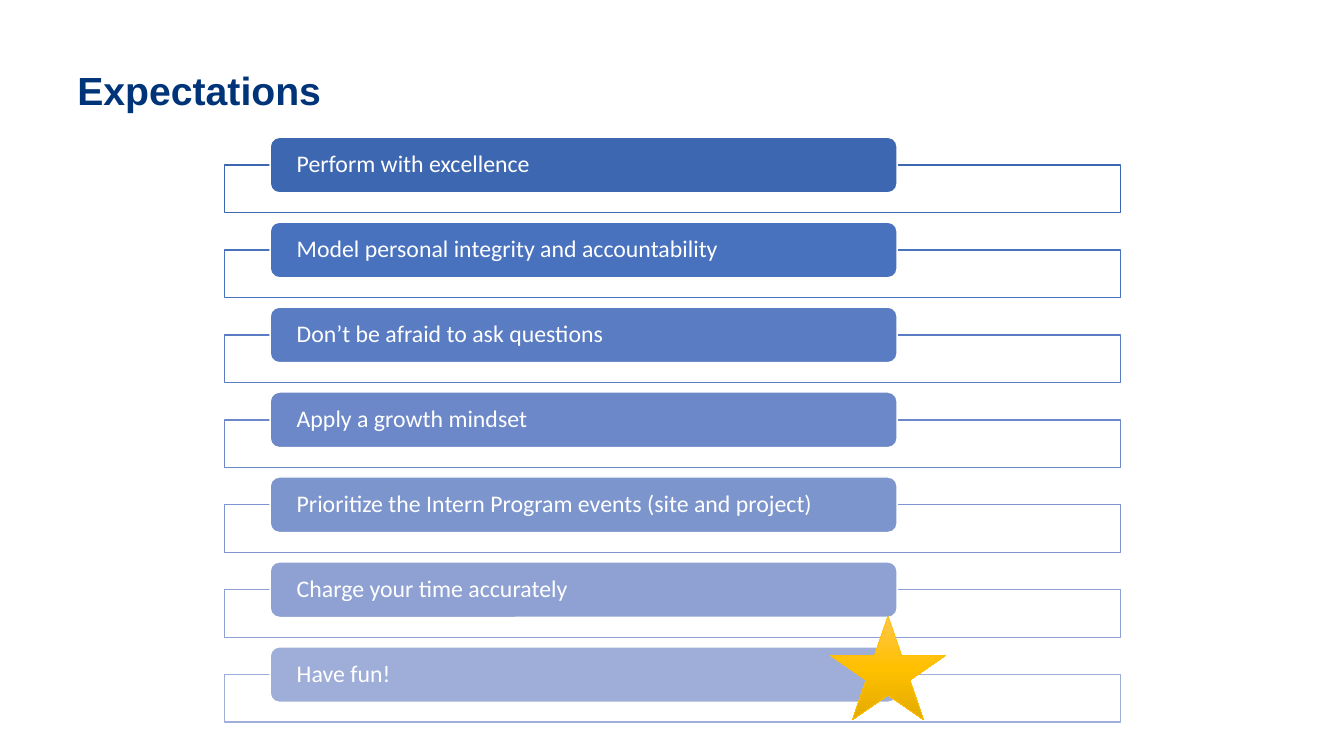
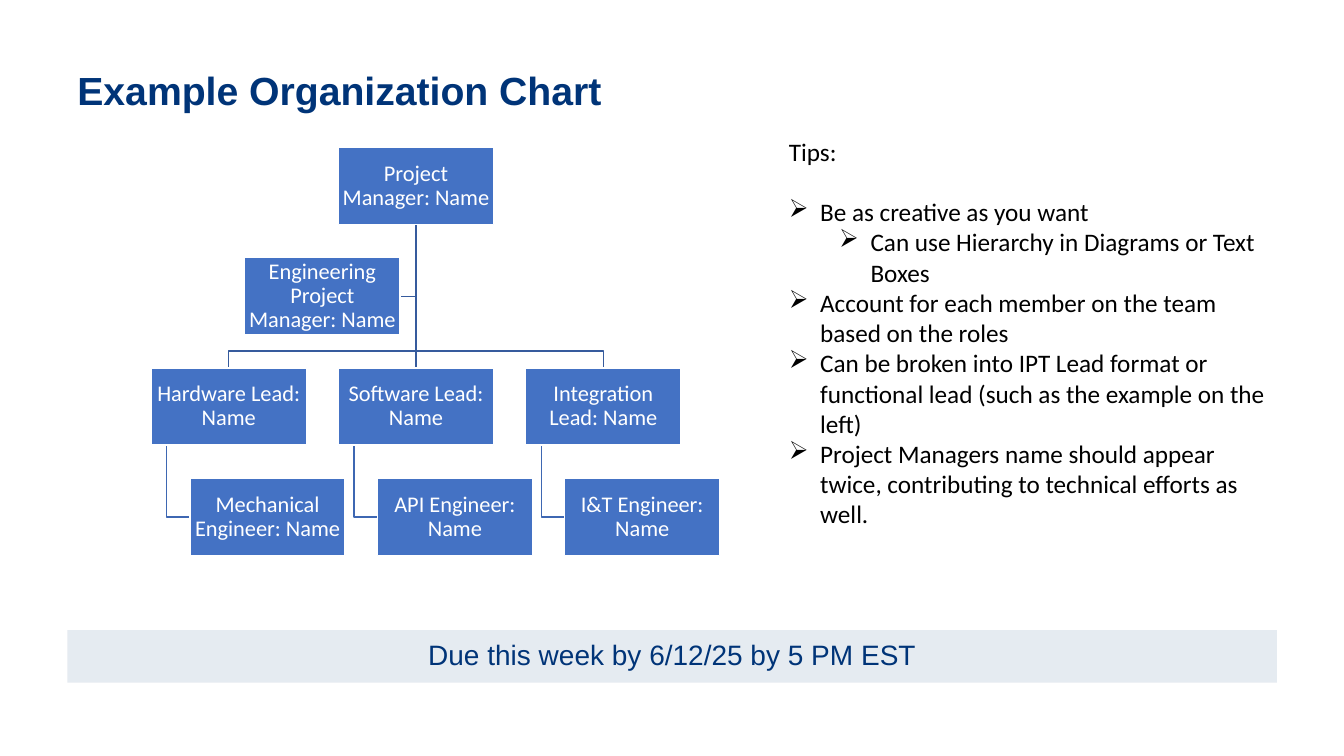
"""Build two intern program slides: the expectations list and an example organization chart."""
from copy import deepcopy

from lxml import etree
from pptx import Presentation
from pptx.dml.color import RGBColor
from pptx.enum.shapes import MSO_SHAPE
from pptx.enum.text import MSO_ANCHOR, PP_ALIGN
from pptx.oxml.ns import qn
from pptx.util import Cm, Pt

RECTANGLE = MSO_SHAPE.RECTANGLE
ROUNDED = MSO_SHAPE.ROUNDED_RECTANGLE
STAR = MSO_SHAPE.STAR_5_POINT
LEFT, CENTER = PP_ALIGN.LEFT, PP_ALIGN.CENTER
MIDDLE = MSO_ANCHOR.MIDDLE
NAVY, BLUE, WHITE, BLACK = "003478", "4472C4", "FFFFFF", "000000"
PALE, GOLD = "E5EBF1", "FFC000"
TRUNK_LINE, BRANCH_LINE = "365B9D", "3E67B2"


def colour(code):
    """Return the colour for a hex string."""
    return RGBColor.from_string(code)


def add_box(page, kind, left, top, width, height, fill, line=None, text="",
            size=16, font="Calibri", ink=WHITE, align=CENTER, inset=0.03):
    """Add a filled shape, with lengths in centimetres and optional text."""
    box = page.shapes.add_shape(kind, Cm(left), Cm(top), Cm(width), Cm(height))
    box.shadow.inherit = False
    box.fill.solid()
    box.fill.fore_color.rgb = colour(fill)
    if line:
        box.line.color.rgb = colour(line)
        box.line.width = Pt(1)
    else:
        box.line.fill.background()
    if text:
        frame = box.text_frame
        frame.word_wrap = True
        frame.vertical_anchor = MIDDLE
        frame.margin_left = frame.margin_right = Cm(inset)
        frame.margin_top = frame.margin_bottom = Cm(0.03)
        para = frame.paragraphs[0]
        para.text = text
        para.alignment = align
        para.line_spacing = 0.9
        para.font.name = font
        para.font.size = Pt(size)
        para.font.color.rgb = colour(ink)
    return box


deck = Presentation()
deck.slide_width, deck.slide_height = Cm(33.87), Cm(19.05)
blank = deck.slide_layouts[6]

pages = []
for title in ("Expectations", "Example Organization Chart"):
    page = deck.slides.add_slide(blank)
    box = page.shapes.add_textbox(Cm(1.7), Cm(1.4), Cm(30.5), Cm(1.9))
    box.text_frame.word_wrap = True
    box.text_frame.vertical_anchor = MIDDLE
    para = box.text_frame.paragraphs[0]
    para.text = title
    para.line_spacing = 0.9
    para.font.name = "Arial"
    para.font.size = Pt(28)
    para.font.bold = True
    para.font.color.rgb = colour(NAVY)
    pages.append(page)
expectations_page, chart_page = pages

expectations = [
    ("Perform with excellence", "3E67B2"),
    ("Model personal integrity and accountability", "4871BE"),
    ("Don’t be afraid to ask questions", "5A7CC3"),
    ("Apply a growth mindset", "6C88C8"),
    ("Prioritize the Intern Program events (site and project)", "7D95CD"),
    ("Charge your time accurately", "8EA1D2"),
    ("Have fun!", "9FAED8"),
]
for row, (text, shade) in enumerate(expectations):
    top = 3.46 + row * 2.14
    add_box(expectations_page, RECTANGLE, 5.66, top + 0.7, 22.58, 1.2, WHITE, shade)
    add_box(expectations_page, ROUNDED, 6.81, top, 15.8, 1.4, shade, WHITE, text,
            size=17, align=LEFT, inset=0.6)

star = add_box(expectations_page, STAR, 20.93, 15.52, 2.9, 2.62, GOLD, GOLD)
star.line.width = Pt(0.5)
star.fill.gradient()
star.fill.gradient_angle = 270
stop_list = star.element.spPr.find(".//" + qn("a:gsLst"))
stop_list.append(deepcopy(stop_list[0]))
star_stops = [(0, "FFC64B"), (0.5, GOLD), (1, "E3AB00")]
for stop, (position, shade) in zip(star.fill.gradient_stops, star_stops):
    stop.position = position
    stop.color.rgb = colour(shade)

add_box(chart_page, RECTANGLE, 1.7, 15.88, 30.48, 1.32, PALE,
        text="Due this week by 6/12/25 by 5 PM EST", size=20, font="Arial", ink=NAVY)

role_width, role_height = 3.91, 1.95
column_step = 4.72
columns = [3.81 + index * column_step for index in range(3)]
manager_top, assistant_top, lead_top, member_top = [3.71 + row * 2.78 for row in range(4)]
assistant_left = columns[0] + column_step / 2
member_shift = 0.98
trunk_x = columns[1] + role_width / 2
trunk_top = manager_top + role_height
junction_y = lead_top - 0.42
assistant_y = assistant_top + role_height / 2
member_y = member_top + role_height / 2

routes = [(TRUNK_LINE, [(trunk_x, trunk_top), (trunk_x, assistant_y),
                        (assistant_left + role_width, assistant_y)])]
for left in columns:
    lead_x = left + role_width / 2
    branch_x = left + 0.39
    routes.append((TRUNK_LINE, [(trunk_x, trunk_top), (trunk_x, junction_y),
                                (lead_x, junction_y), (lead_x, lead_top)]))
    routes.append((BRANCH_LINE, [(branch_x, lead_top + role_height), (branch_x, member_y),
                                 (left + member_shift, member_y)]))
for shade, points in routes:
    corners = [(Cm(x), Cm(y)) for x, y in points]
    builder = chart_page.shapes.build_freeform(*corners[0])
    builder.add_line_segments(corners[1:], close=False)
    route = builder.convert_to_shape()
    route.shadow.inherit = False
    route.fill.background()
    route.line.color.rgb = colour(shade)
    route.line.width = Pt(1)

roles = [
    ("Project Manager: Name", columns[1], manager_top),
    ("Engineering Project Manager: Name", assistant_left, assistant_top),
]
teams = [
    ("Hardware Lead: Name", "Mechanical Engineer: Name"),
    ("Software Lead: Name", "API Engineer: Name"),
    ("Integration Lead: Name", "I&T Engineer: Name"),
]
for left, (lead, member) in zip(columns, teams):
    roles.append((lead, left, lead_top))
    roles.append((member, left + member_shift, member_top))
for text, left, top in roles:
    add_box(chart_page, RECTANGLE, left, top, role_width, role_height, BLUE, WHITE, text)

tips = [
    ("Be as creative as you want", 0),
    ("Can use Hierarchy in Diagrams or Text Boxes", 1),
    ("Account for each member on the team based on the roles", 0),
    ("Can be broken into IPT Lead format or functional lead (such as the example on the left)", 0),
    ("Project Managers name should appear twice, contributing to technical efforts as well.", 0),
]
tips_frame = chart_page.shapes.add_textbox(Cm(19.63), Cm(3.3), Cm(12.78), Cm(10.26)).text_frame
tips_frame.word_wrap = True
heading = tips_frame.paragraphs[0]
heading.text = "Tips:"
heading.space_after = Pt(21.6)
for text, level in tips:
    para = tips_frame.add_paragraph()
    para.text = text
    para.level = level
    properties = para._p.get_or_add_pPr()
    properties.set("marL", str(Cm(0.79 + level * 1.27)))
    properties.set("indent", str(Cm(-0.79)))
    etree.SubElement(properties, qn("a:buChar")).set("char", "➢")
for para in tips_frame.paragraphs:
    para.font.name = "Calibri"
    para.font.size = Pt(18)
    para.font.color.rgb = colour(BLACK)

deck.save("out.pptx")
